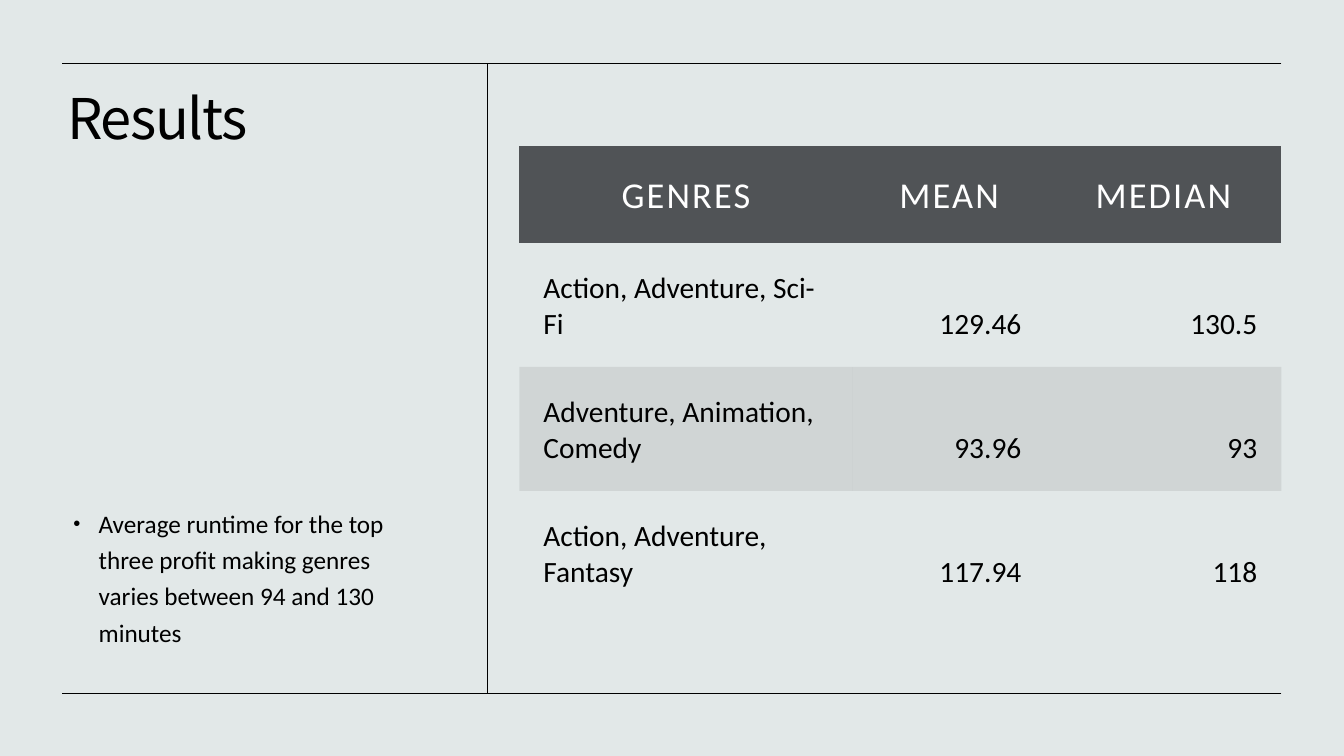
from lxml import etree
from pptx import Presentation
from pptx.dml.color import RGBColor
from pptx.enum.shapes import MSO_CONNECTOR
from pptx.enum.text import MSO_ANCHOR as Anchor, PP_ALIGN as Align
from pptx.oxml.ns import qn
from pptx.util import Inches, Pt

COLORS = {"background": "E2E8E8", "ink": "000000", "header": "505356", "white": "FFFFFF"}
BODY_FONT = "Calibri"
TITLE_FONT = "Noto Sans CJK KR"
NO_STYLE = "{2D5ABB26-0587-4C30-8999-92F81FD0307C}"

LEFT, RIGHT = 0.62, 12.71
TOP, BOTTOM = 0.63, 6.88
DIVIDER = 4.83

COLUMN_WIDTHS = [3.31, 1.91, 2.34]
ROW_HEIGHTS = [0.96, 1.23, 1.23, 1.23]
RUNTIMES = [
    ["GENRES", "MEAN", "MEDIAN"],
    ["Action, Adventure, Sci-Fi", "129.46", "130.5"],
    ["Adventure, Animation, Comedy", "93.96", "93"],
    ["Action, Adventure, Fantasy", "117.94", "118"],
]


def color(name):
    return RGBColor.from_string(COLORS[name])


def write(frame, text, size, font=BODY_FONT, ink="ink", align=Align.LEFT,
          spacing=0, line_spacing=None, before=None):
    """Fill the frame's first paragraph and return that paragraph."""
    frame.word_wrap = True
    para = frame.paragraphs[0]
    para.alignment = align
    if line_spacing:
        para.line_spacing = line_spacing
    if before:
        para.space_before = Pt(before)
    span = para.add_run()
    span.text = text
    span.font.size = Pt(size)
    span.font.name = font
    span.font.color.rgb = color(ink)
    properties = span.font._element
    properties.set("spc", str(round(spacing * 100)))
    for script in ("a:ea", "a:cs"):
        etree.SubElement(properties, qn(script)).set("typeface", font)
    return para


def add_text(page, area, text, size, anchor=Anchor.TOP, **options):
    box = page.shapes.add_textbox(*map(Inches, area))
    box.text_frame.vertical_anchor = anchor
    return write(box.text_frame, text, size, **options)


def add_bullet(para):
    properties = para._p.get_or_add_pPr()
    properties.set("marL", str(Inches(0.25)))
    properties.set("indent", str(-Inches(0.25)))
    etree.SubElement(properties, qn("a:buSzPct")).set("val", "80000")
    etree.SubElement(properties, qn("a:buFont")).set("typeface", "Arial")
    etree.SubElement(properties, qn("a:buChar")).set("char", "•")


def add_rule(page, *ends):
    rule = page.shapes.add_connector(MSO_CONNECTOR.STRAIGHT, *map(Inches, ends))
    rule.line.color.rgb = color("ink")
    rule.line.width = Pt(0.5)
    etree.SubElement(rule._element.spPr, qn("a:effectLst"))


def fill_cell(cell, name, opacity=100):
    cell.fill.solid()
    cell.fill.fore_color.rgb = color(name)
    if opacity < 100:
        shade = cell._tc.tcPr.find(".//" + qn("a:srgbClr"))
        etree.SubElement(shade, qn("a:alpha")).set("val", str(opacity * 1000))


def add_runtime_table(page):
    area = map(Inches, (5.15, 1.45, sum(COLUMN_WIDTHS), sum(ROW_HEIGHTS)))
    table = page.shapes.add_table(len(RUNTIMES), len(COLUMN_WIDTHS), *area).table
    table.first_row = True
    table.horz_banding = False
    table._tbl.tblPr.find(qn("a:tableStyleId")).text = NO_STYLE
    for column, width in zip(table.columns, COLUMN_WIDTHS):
        column.width = Inches(width)
    for row, height in zip(table.rows, ROW_HEIGHTS):
        row.height = Inches(height)

    for i, values in enumerate(RUNTIMES):
        for j, value in enumerate(values):
            cell = table.cell(i, j)
            cell.vertical_anchor = Anchor.BOTTOM
            cell.margin_left = cell.margin_right = Inches(0.24)
            cell.margin_top = cell.margin_bottom = Inches(0.24)
            if i == 0:
                fill_cell(cell, "header")
                write(cell.text_frame, value, 26, ink="white",
                      align=Align.CENTER, spacing=1.5)
                continue
            if i % 2 == 0:
                fill_cell(cell, "ink", opacity=8)
            else:
                cell.fill.background()
            write(cell.text_frame, value, 21, align=Align.RIGHT if j else Align.LEFT)


def main():
    deck = Presentation()
    deck.slide_width, deck.slide_height = Inches(13.33), Inches(7.5)
    page = deck.slides.add_slide(deck.slide_layouts[6])
    page.background.fill.solid()
    page.background.fill.fore_color.rgb = color("background")

    add_text(page, (0.57, 0.86, 3.84, 2.2), "Results", 40,
             font=TITLE_FONT, spacing=-1, line_spacing=0.9)
    add_rule(page, RIGHT, TOP, LEFT, TOP)
    finding = add_text(
        page, (0.63, 3.35, 3.58, 3.12),
        "Average runtime for the top three profit making genres "
        "varies between 94 and 130 minutes",
        18, anchor=Anchor.BOTTOM, line_spacing=1.2, before=10)
    add_bullet(finding)
    add_rule(page, DIVIDER, TOP, DIVIDER, BOTTOM)
    add_rule(page, RIGHT, BOTTOM, LEFT, BOTTOM)
    add_runtime_table(page)
    deck.save("out.pptx")


if __name__ == "__main__":
    main()
